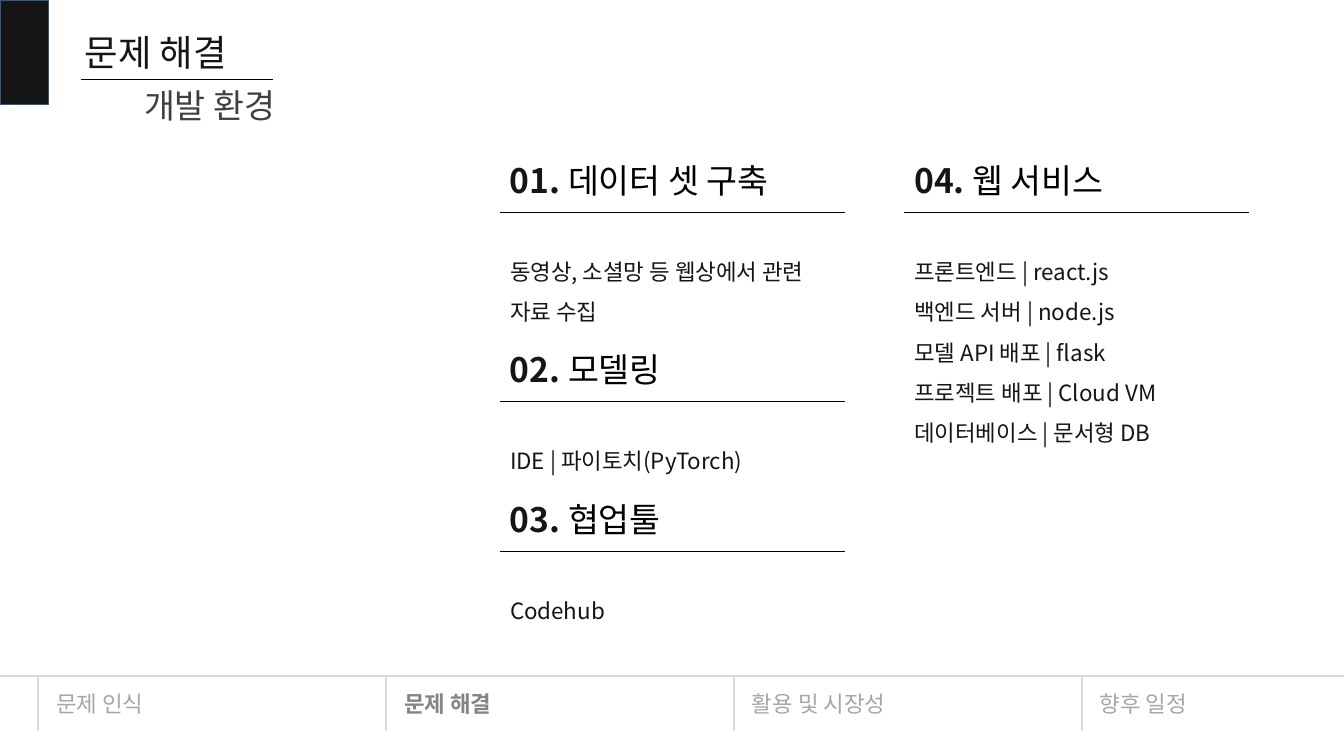
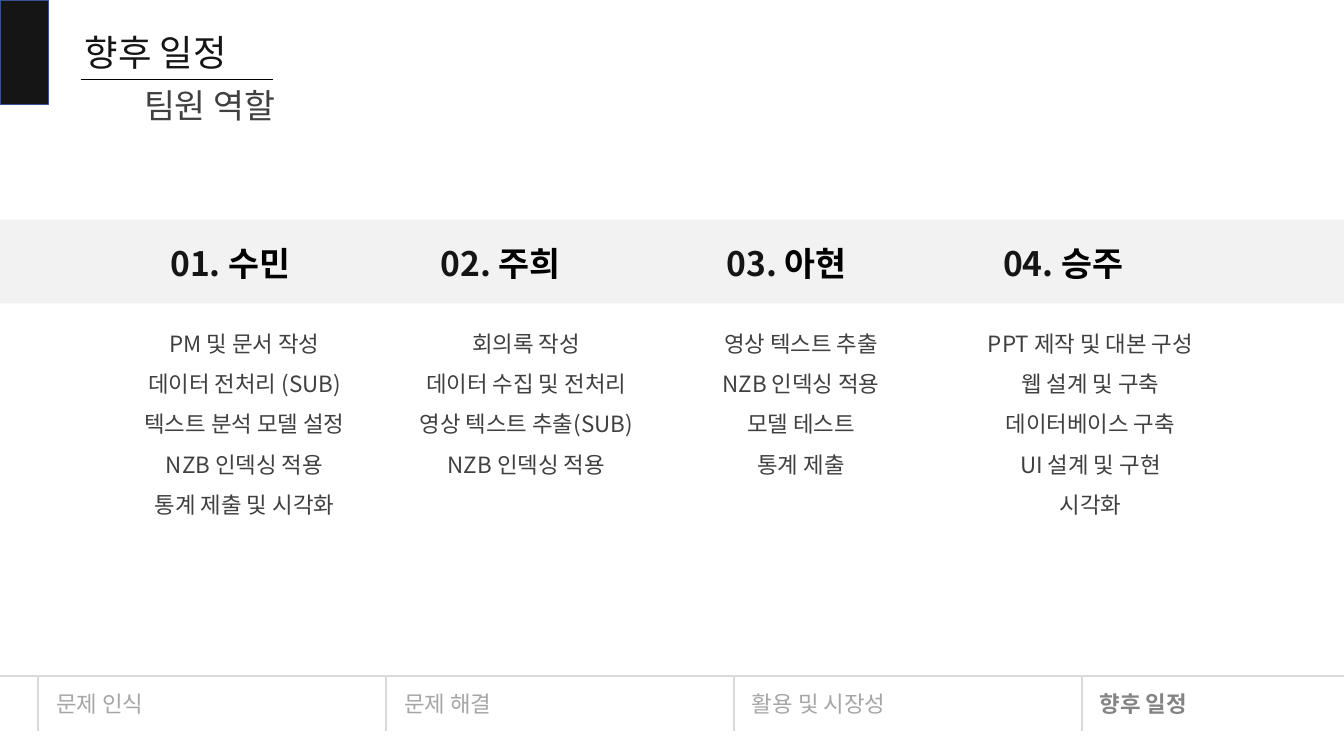
from lxml import etree
from pptx import Presentation
from pptx.dml.color import RGBColor
from pptx.enum import shapes, text
from pptx.oxml.ns import qn
from pptx.util import Inches, Pt

FONT = "Noto Sans CJK KR"
BLACK = RGBColor(0x00, 0x00, 0x00)
INK = RGBColor(0x16, 0x15, 0x15)
BODY_GRAY = RGBColor(0x40, 0x40, 0x40)
ACTIVE_GRAY = RGBColor(0x84, 0x84, 0x84)
FOOTER_GRAY = RGBColor(0xA6, 0xA6, 0xA6)
RULE_GRAY = RGBColor(0xD9, 0xD9, 0xD9)
BAND_GRAY = RGBColor(0xF2, 0xF2, 0xF2)
TAB_BORDER = RGBColor(0x32, 0x54, 0x91)

CHAPTERS = ["문제 인식", "문제 해결", "활용 및 시장성", "향후 일정"]
SLIDE_WIDTH = 13.33

presentation = Presentation()
presentation.slide_width = Inches(SLIDE_WIDTH)
presentation.slide_height = Inches(7.5)


def add_text(slide, box, lines, size, color, bold=False, align=None, spacing=None):
    """Each line is a string, or a list of (text, color, bold) runs."""
    shape = slide.shapes.add_textbox(*[Inches(length) for length in box])
    frame = shape.text_frame
    frame.word_wrap = True
    frame.auto_size = text.MSO_AUTO_SIZE.SHAPE_TO_FIT_TEXT
    for index, line in enumerate(lines):
        paragraph = frame.add_paragraph() if index else frame.paragraphs[0]
        paragraph.alignment = align
        paragraph.line_spacing = spacing
        font = paragraph.font
        font.size, font.name = Pt(size), FONT
        etree.SubElement(font._rPr, qn("a:ea"), typeface=FONT)
        if isinstance(line, str):
            font.color.rgb, font.bold = color, bold
            paragraph.add_run().text = line
        else:
            for words, run_color, run_bold in line:
                run = paragraph.add_run()
                run.text = words
                run.font.color.rgb, run.font.bold = run_color, run_bold


def add_line(slide, x1, y1, x2, y2, color, width):
    line = slide.shapes.add_connector(
        shapes.MSO_CONNECTOR.STRAIGHT, Inches(x1), Inches(y1), Inches(x2), Inches(y2))
    line.line.color.rgb, line.line.width = color, Pt(width)
    etree.SubElement(line._element.spPr, qn("a:effectLst"))


# Shared frame: corner tab, titles and chapter footer
slides = []
for chapter, subtitle in [("문제 해결", "개발 환경"), ("향후 일정", "팀원 역할")]:
    slide = presentation.slides.add_slide(presentation.slide_layouts[6])
    slides.append(slide)

    tab = slide.shapes.add_shape(
        shapes.MSO_SHAPE.RECTANGLE, 0, 0, Inches(0.48), Inches(1.04))
    tab.shadow.inherit = False
    tab.fill.solid()
    tab.fill.fore_color.rgb = INK
    tab.line.color.rgb, tab.line.width = TAB_BORDER, Pt(1)

    add_text(slide, (0.74, 0.25, 5.51, 0.54), [chapter], 26, INK)
    add_text(slide, (1.33, 0.79, 1.98, 0.5), [subtitle], 24, BODY_GRAY)
    add_line(slide, 0.8, 0.79, 2.71, 0.79, BLACK, 0.5)

    add_line(slide, 0, 6.71, SLIDE_WIDTH, 6.71, RULE_GRAY, 1.25)
    for index, name in enumerate(CHAPTERS):
        left = 0.38 + 3.45 * index
        active = name == chapter
        add_line(slide, left, 7.25, left, 6.71, RULE_GRAY, 1.25)
        add_text(slide, (left + 0.08, 6.8, 1.98, 0.37), [name], 16,
                 ACTIVE_GRAY if active else FOOTER_GRAY, bold=active)

environment_slide, roles_slide = slides

# Development environment: numbered sections
sections = [
    (4.96, 1.54, "데이터 셋 구축", ["동영상, 소셜망 등 웹상에서 관련 자료 수집"]),
    (4.96, 3.41, "모델링", ["IDE | 파이토치(PyTorch)"]),
    (4.96, 4.9, "협업툴", ["Codehub"]),
    (8.97, 1.54, "웹 서비스", [
        "프론트엔드 | react.js", "백엔드 서버 | node.js", "모델 API 배포 | flask",
        "프로젝트 배포 | Cloud VM", "데이터베이스 | 문서형 DB"]),
]
for number, (left, top, heading, lines) in enumerate(sections, 1):
    add_text(environment_slide, (left, top, 3.34, 0.5),
             [[(f"{number:02}.", INK, True), (f" {heading}", BLACK, False)]], 24, INK)
    add_line(environment_slide, left, top + 0.57, left + 3.42, top + 0.57, BLACK, 0.5)
    add_text(environment_slide, (left, top + 0.84, 3.19, 0.46 + 0.4 * (len(lines) - 1)),
             lines, 16, INK, spacing=1.5)

# Team roles: band with names, tasks below
band = roles_slide.shapes.add_shape(
    shapes.MSO_SHAPE.RECTANGLE, 0, Inches(2.18), Inches(SLIDE_WIDTH), Inches(0.83))
band.shadow.inherit = False
band.fill.solid()
band.fill.fore_color.rgb = BAND_GRAY
band.line.fill.background()

members = [
    ("수민", 1.59, 1.18, 2.49, [
        "PM 및 문서 작성", "데이터 전처리 (SUB)", "텍스트 분석 모델 설정",
        "NZB 인덱싱 적용", "통계 제출 및 시각화"]),
    ("주희", 4.27, 3.75, 2.94, [
        "회의록 작성", "데이터 수집 및 전처리", "영상 텍스트 추출(SUB)",
        "NZB 인덱싱 적용"]),
    ("아현", 7.11, 6.23, 3.43, [
        "영상 텍스트 추출", "NZB 인덱싱 적용", "모델 테스트", "통계 제출"]),
    ("승주", 9.85, 9.49, 2.65, [
        "PPT 제작 및 대본 구성", "웹 설계 및 구축", "데이터베이스 구축",
        "UI 설계 및 구현", "시각화"]),
]
for number, (name, name_left, tasks_left, tasks_width, tasks) in enumerate(members, 1):
    add_text(roles_slide, (name_left, 2.36, 1.79, 0.5),
             [[(f"{number:02}.", INK, True), (f" {name}", BLACK, True)]], 24, INK)
    add_text(roles_slide, (tasks_left, 3.09, tasks_width, 0.46 + 0.4 * (len(tasks) - 1)),
             tasks, 16, BODY_GRAY, align=text.PP_ALIGN.CENTER, spacing=1.5)

presentation.save("out.pptx")
